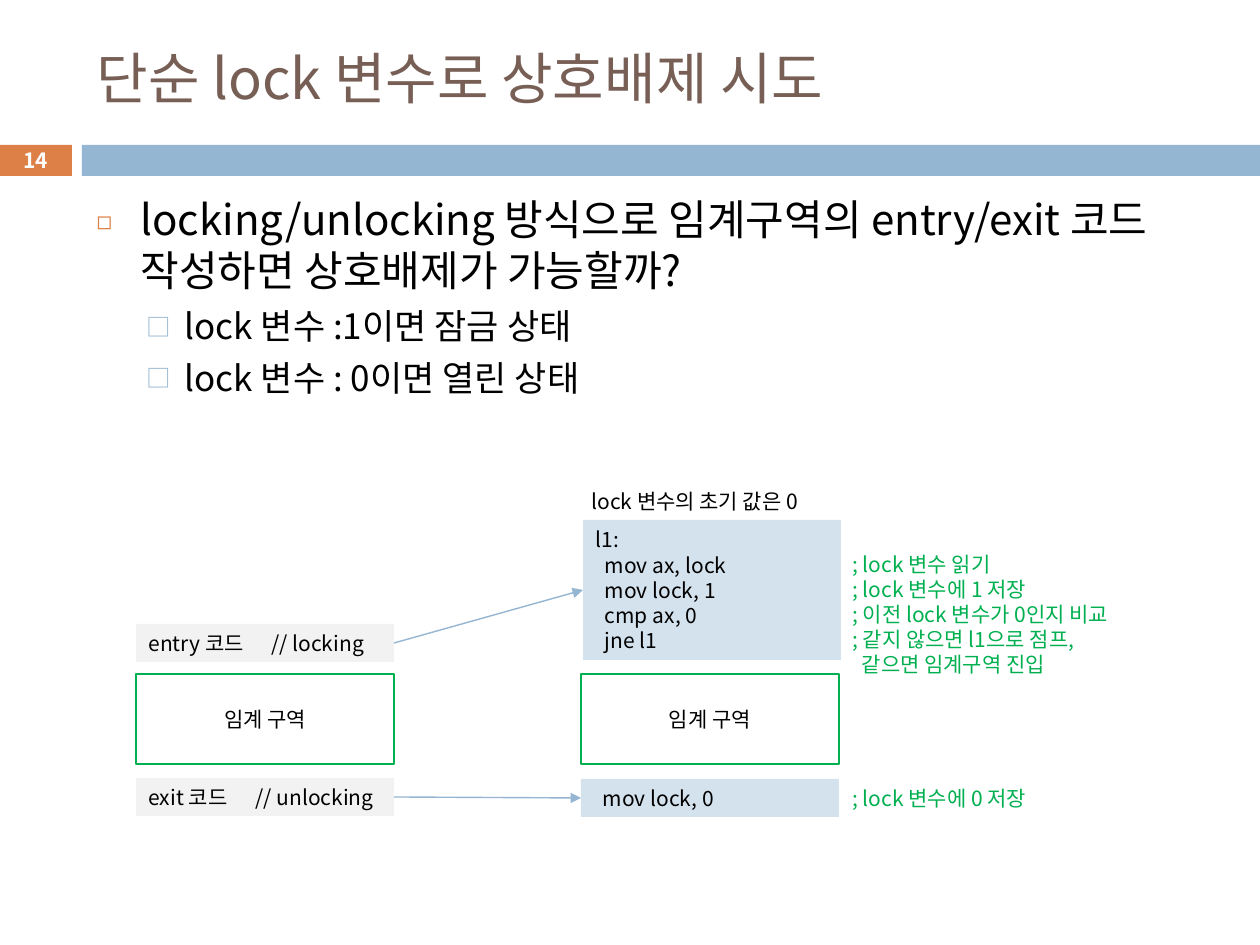
from dataclasses import dataclass

from lxml import etree
from pptx import Presentation
from pptx.dml.color import RGBColor
from pptx.enum.shapes import MSO_CONNECTOR, MSO_SHAPE
from pptx.enum.text import MSO_ANCHOR, MSO_AUTO_SIZE, PP_ALIGN
from pptx.oxml.ns import qn
from pptx.util import Emu, Pt

RECTANGLE = MSO_SHAPE.RECTANGLE
STRAIGHT = MSO_CONNECTOR.STRAIGHT
TOP, MIDDLE = MSO_ANCHOR.TOP, MSO_ANCHOR.MIDDLE
LEFT, CENTER = PP_ALIGN.LEFT, PP_ALIGN.CENTER
NO_FIT = MSO_AUTO_SIZE.NONE
LEFT_SIDE, RIGHT_SIDE = 1, 3
PX_PER_INCH = 126


@dataclass(frozen=True)
class Theme:
    font: str = "Noto Sans CJK KR"
    title: str = "775F55"
    text: str = "000000"
    white: str = "FFFFFF"
    orange: str = "DD8047"
    blue: str = "94B6D2"
    code_fill: str = "D4E2ED"
    label_fill: str = "F2F2F2"
    green: str = "00B050"
    title_size: int = 32
    body_size: int = 24
    sub_size: int = 20
    small_size: int = 12
    line_ratio: float = 1.2


THEME = Theme()


def px(length):
    return Emu(round(length * 914400 / PX_PER_INCH))


def color(value):
    return RGBColor.from_string(value)


def place(shape, box):
    shape.left, shape.top, shape.width, shape.height = map(px, box)


def style_para(para, size, ink, align=LEFT, bold=False):
    para.alignment = align
    para.line_spacing = Pt(round(size * THEME.line_ratio, 1))
    for span in para.runs:
        span.font.size = Pt(size)
        span.font.bold = bold
        span.font.name = THEME.font
        span.font.color.rgb = color(ink)
        east_asian = etree.SubElement(span.font._element, qn("a:ea"))
        east_asian.set("typeface", THEME.font)


def write(shape, text, size, ink, align=LEFT, anchor=TOP, bold=False):
    frame = shape.text_frame
    frame.text = text
    frame.word_wrap = True
    frame.auto_size = NO_FIT
    frame.vertical_anchor = anchor
    for para in frame.paragraphs:
        style_para(para, size, ink, align, bold)


def add_rectangle(page, box, fill=None, outline=None):
    shape = page.shapes.add_shape(RECTANGLE, *map(px, box))
    shape.shadow.inherit = False
    if fill:
        shape.fill.solid()
        shape.fill.fore_color.rgb = color(fill)
    else:
        shape.fill.background()
    if outline:
        shape.line.color.rgb = color(outline)
        shape.line.width = Pt(0.75)
    else:
        shape.line.fill.background()
    return shape


def add_block(page, box, text, fill=None, outline=None, align=LEFT):
    shape = add_rectangle(page, box, fill, outline)
    write(shape, text, THEME.small_size, THEME.text, align, MIDDLE)
    return shape


def add_note(page, box, text, ink):
    note = page.shapes.add_textbox(*map(px, box))
    write(note, text, THEME.small_size, ink)


def set_tab(shape, position):
    properties = shape.text_frame.paragraphs[0]._p.get_or_add_pPr()
    tabs = etree.SubElement(properties, qn("a:tabLst"))
    etree.SubElement(tabs, qn("a:tab"), pos=str(px(position)), algn="l")


def add_arrow(page, source, target):
    arrow = page.shapes.add_connector(STRAIGHT, 0, 0, 0, 0)
    arrow.begin_connect(source, RIGHT_SIDE)
    arrow.end_connect(target, LEFT_SIDE)
    arrow.line.color.rgb = color(THEME.blue)
    arrow.line.width = Pt(0.79)
    etree.SubElement(arrow.line._get_or_add_ln(), qn("a:tailEnd"), type="triangle")
    etree.SubElement(arrow._element.spPr, qn("a:effectLst"))


def set_bullet(para, symbol, ink, percent, margin, hanging):
    properties = para._p.get_or_add_pPr()
    properties.set("marL", str(px(margin)))
    properties.set("indent", str(-px(hanging)))
    bullet_color = etree.SubElement(properties, qn("a:buClr"))
    etree.SubElement(bullet_color, qn("a:srgbClr"), val=ink)
    etree.SubElement(properties, qn("a:buSzPct"), val=str(percent * 1000))
    etree.SubElement(properties, qn("a:buFont"), typeface=THEME.font)
    etree.SubElement(properties, qn("a:buChar"), char=symbol)


def build_title(page, box, text):
    title = page.shapes.title
    place(title, box)
    write(title, text, THEME.title_size, THEME.title, anchor=MIDDLE)


def build_banner(page, box, number):
    left, top, width, height = box
    badge_width, gap = 73, 10
    badge = add_rectangle(page, (left, top, badge_width, height), THEME.orange)
    write(badge, number, THEME.small_size, THEME.white, CENTER, MIDDLE, True)
    offset = badge_width + gap
    add_rectangle(page, (left + offset, top, width - offset, height), THEME.blue)


def build_body(page, box, question, states):
    body = page.placeholders[1]
    place(body, box)
    frame = body.text_frame
    frame.text = "\n".join([question, *states])
    frame.word_wrap = True
    frame.auto_size = NO_FIT
    frame.vertical_anchor = TOP
    frame.margin_top = px(9)
    first, *rest = frame.paragraphs
    set_bullet(first, "◻", THEME.orange, 60, 44, 44)
    first.space_before = Pt(0)
    style_para(first, THEME.body_size, THEME.text)
    for para in rest:
        para.level = 1
        set_bullet(para, "□", THEME.blue, 70, 88, 38)
        para.space_before = Pt(5.5)
        style_para(para, THEME.sub_size, THEME.text)


def build_diagram(page, box):
    left, top, width, height = box
    block_width, row, section = 258, 38, 90
    code_left, note_left = left + 445, left + 704
    section_top, exit_top = top + 192, top + height - row

    entry = add_block(page, (left, top + 142, block_width, row),
                      "entry 코드\t// locking", THEME.label_fill)
    set_tab(entry, 123)
    leave = add_block(page, (left, exit_top, block_width, row),
                      "exit 코드\t// unlocking", THEME.label_fill)
    set_tab(leave, 107)
    for column in (left, code_left):
        add_block(page, (column, section_top, block_width, section),
                  "임계 구역", outline=THEME.green, align=CENTER)

    locking = "l1:\n  mov ax, lock\n  mov lock, 1\n  cmp ax, 0\n  jne l1"
    lock = add_block(page, (code_left + 2, top + 38, block_width, 140),
                     locking, THEME.code_fill)
    unlock = add_block(page, (code_left, exit_top + 1, block_width, row),
                       "  mov lock, 0", THEME.code_fill)
    add_arrow(page, entry, lock)
    add_arrow(page, leave, unlock)

    add_note(page, (code_left - 2, top, block_width, row),
             "lock 변수의 초기 값은 0", THEME.text)
    remarks = ("; lock 변수 읽기\n; lock 변수에 1 저장\n; 이전 lock 변수가 0인지 비교\n"
               "; 같지 않으면 l1으로 점프,\n  같으면 임계구역 진입")
    add_note(page, (note_left, top + 63, 315, 140), remarks, THEME.green)
    add_note(page, (note_left, exit_top + 1, 248, row),
             "; lock 변수에 0 저장", THEME.green)


def main():
    deck = Presentation()
    deck.slide_width, deck.slide_height = px(1260), px(945)
    page = deck.slides.add_slide(deck.slide_layouts[1])
    build_title(page, (84, 31, 1124, 93), "단순 lock 변수로 상호배제 시도")
    build_banner(page, (-1, 145, 1261, 31), "14")
    build_body(page, (84, 185, 1124, 694),
               "locking/unlocking 방식으로 임계구역의 entry/exit 코드 작성하면 상호배제가 가능할까?",
               ["lock 변수 :1이면 잠금 상태", "lock 변수 : 0이면 열린 상태"])
    build_diagram(page, (136, 482, 1019, 334))
    deck.save("out.pptx")


if __name__ == "__main__":
    main()
